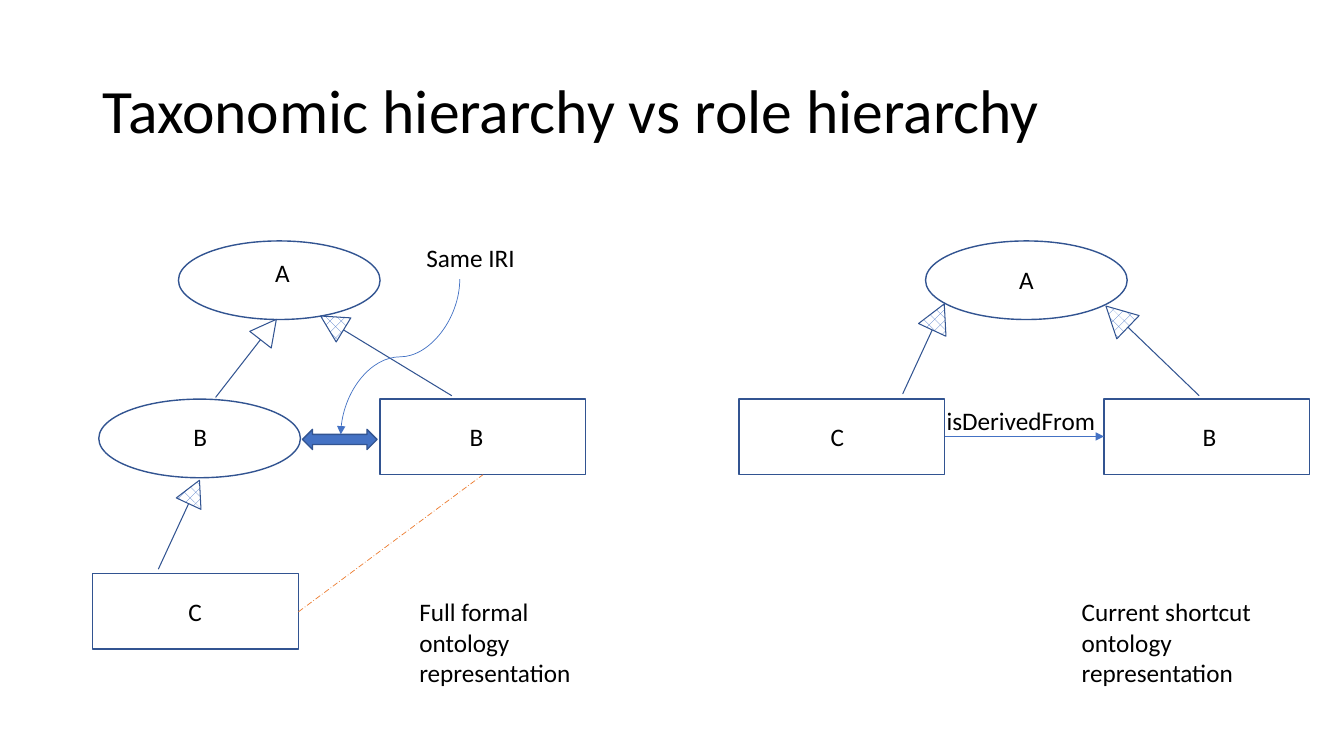
from pptx import Presentation
from pptx.dml.color import RGBColor
from pptx.enum import dml, shapes, text
from pptx.oxml.ns import qn
from pptx.util import Inches, Pt
from lxml import etree

COLORS = {"text": "000000", "outline": "325491", "blue": "4472C4",
          "orange": "ED7D31", "white": "FFFFFF"}
FONT = "Calibri"
TITLE = "Taxonomic hierarchy vs role hierarchy"
ELLIPSE, BOX = shapes.MSO_SHAPE.OVAL, shapes.MSO_SHAPE.RECTANGLE
NODE_SIZE = {ELLIPSE: (2, 0.78), BOX: (2.04, 0.75)}
LABEL_SIZE = (0.33, 0.4)

# Nodes: kind, left, top, letter, letter left, letter top
NODES = [
    (ELLIPSE, 1.77, 2.39, "A", 2.63, 2.5),
    (ELLIPSE, 0.98, 3.96, "B", 1.82, 4.13),
    (BOX, 3.77, 3.96, "B", 4.56, 4.13),
    (BOX, 0.92, 5.69, "C", 1.77, 5.87),
    (BOX, 7.33, 3.96, "C", 8.14, 4.13),
    (BOX, 10.95, 3.96, "B", 11.83, 4.13),
    (ELLIPSE, 9.18, 2.39, "A", 10.01, 2.57),
]
# Inheritance arrows: left, top, width, height, rotation, hatched head
INHERITANCE = [
    (1.95, 3.42, 0.98, 0.27, 307.9, False),
    (1.29, 5.07, 0.97, 0.27, 294.8, True),
    (3.07, 3.39, 1.52, 0.28, 211.3, True),
    (10.79, 3.32, 1.28, 0.32, 223.9, True),
    (8.67, 3.31, 0.98, 0.3, 294.8, True),
]
# Captions: words, left, top, width, height, alignment
CAPTIONS = [
    ("Full formal ontology representation", 4.06, 5.87, 2.15, 1.01, "LEFT"),
    ("Current shortcut ontology representation", 10.63, 5.87, 2.15, 1.01, "LEFT"),
    ("isDerivedFrom", 9.28, 3.97, 1.69, 0.4, "CENTER"),
    ("Same IRI", 4.13, 2.35, 2.15, 0.4, "LEFT"),
]


def color(name):
    return RGBColor.from_string(COLORS[name])


def write(frame, words, size, align="LEFT"):
    paragraph = frame.paragraphs[0]
    paragraph.alignment = getattr(text.PP_ALIGN, align)
    run = paragraph.add_run()
    run.text = words
    run.font.size = Pt(size)
    run.font.name = FONT
    run.font.color.rgb = color("text")
    return paragraph


def add_label(slide, words, left, top, width, height, align="LEFT", wrap=True):
    label = slide.shapes.add_textbox(*map(Inches, (left, top, width, height)))
    label.text_frame.word_wrap = wrap
    write(label.text_frame, words, 18, align)


def add_outlined(slide, kind, left, top, width, height, weight=1):
    part = slide.shapes.add_shape(kind, *map(Inches, (left, top, width, height)))
    part.shadow.inherit = False
    part.fill.background()
    part.line.color.rgb = color("outline")
    part.line.width = Pt(weight)
    return part


def add_link(slide, kind, start, end, tint, arrow=False):
    link = slide.shapes.add_connector(kind, *map(Inches, start + end))
    link.line.color.rgb = color(tint)
    link.line.width = Pt(0.5)
    if arrow:
        etree.SubElement(link.line._get_or_add_ln(), qn("a:tailEnd"), type="triangle")
    etree.SubElement(link._element.spPr, qn("a:effectLst"))
    return link


def add_inheritance(slide, left, top, width, height, rotation, hatched):
    arrow = add_outlined(slide, shapes.MSO_SHAPE.RIGHT_ARROW,
                         left, top, width, height, 0.75)
    arrow.adjustments[0] = 0
    arrow.adjustments[1] = 0.947
    arrow.rotation = rotation
    arrow._element.spPr.find(qn("a:xfrm")).set("flipV", "1")
    if hatched:
        arrow.fill.patterned()
        arrow.fill.pattern = dml.MSO_PATTERN.PERCENT_25
        arrow.fill.fore_color.rgb = color("blue")
        arrow.fill.back_color.rgb = color("white")


def main():
    deck = Presentation()
    deck.slide_width, deck.slide_height = Inches(13.33), Inches(7.5)
    slide = deck.slides.add_slide(deck.slide_layouts[5])

    # Title
    title = slide.shapes.title
    title.left, title.top, title.width, title.height = map(Inches, (0.92, 0.4, 11.5, 1.45))
    title.text_frame.vertical_anchor = text.MSO_ANCHOR.MIDDLE
    write(title.text_frame, TITLE, 44).line_spacing = 0.9

    # Nodes and inheritance arrows
    for kind, left, top, *_ in NODES:
        add_outlined(slide, kind, left, top, *NODE_SIZE[kind])
    for arrow in INHERITANCE:
        add_inheritance(slide, *arrow)

    # Straight links
    straight = shapes.MSO_CONNECTOR.STRAIGHT
    add_link(slide, straight, (9.37, 4.33), (10.95, 4.33), "blue", arrow=True)
    role_link = add_link(slide, straight, (2.96, 6.07), (4.79, 4.71), "orange")
    role_link.line.dash_style = dml.MSO_LINE.LONG_DASH_DOT

    # Letters and captions
    for *_, letter, left, top in NODES:
        add_label(slide, letter, left, top, *LABEL_SIZE, wrap=False)
    for caption in CAPTIONS:
        add_label(slide, *caption)

    # Same-IRI arrow and its curved pointer, turned a quarter
    same_iri = add_outlined(slide, shapes.MSO_SHAPE.LEFT_RIGHT_ARROW, 3, 4.26, 0.74, 0.2)
    same_iri.fill.solid()
    same_iri.fill.fore_color.rgb = color("blue")
    pointer = add_link(slide, shapes.MSO_CONNECTOR.CURVE, (3.2, 2.95), (4.74, 4.13),
                       "blue", arrow=True)
    pointer._element.spPr.find(qn("a:xfrm")).set("rot", str(90 * 60000))

    deck.save("out.pptx")


if __name__ == "__main__":
    main()
